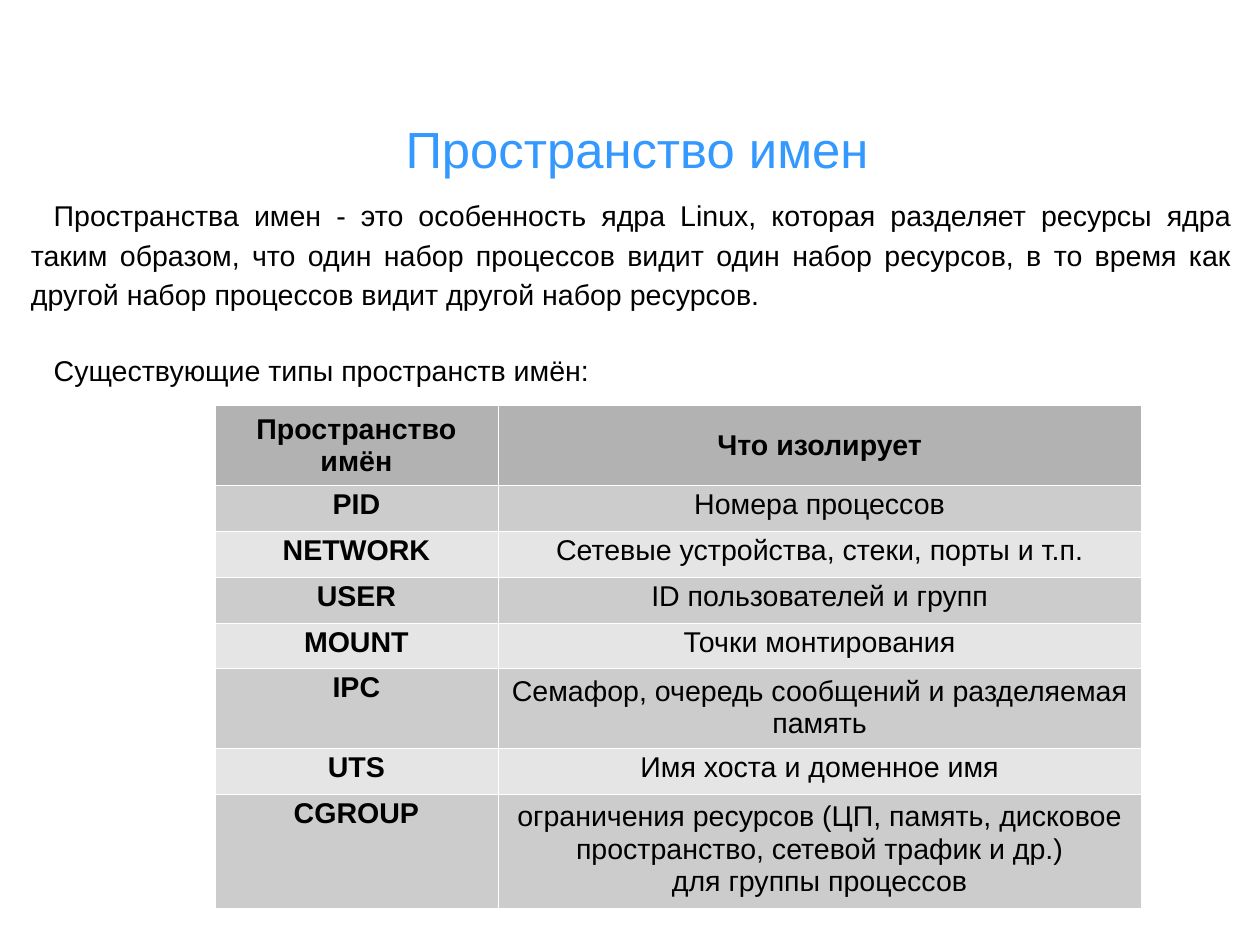
from lxml import etree
from pptx import Presentation
from pptx import util as u
from pptx.dml.color import RGBColor
from pptx.enum import text
from pptx.oxml.ns import qn

COLORS = {"title": "3399FF", "ink": "000000", "header": "B2B2B2",
          "dark": "CCCCCC", "light": "E5E5E5", "border": "FFFFFF"}


def write(para, content, size=18, bold=False, color="ink",
          align=text.PP_ALIGN.CENTER, spacing=None, before=0):
    para.alignment = align
    para.space_before = u.Pt(before)
    if spacing:
        para.line_spacing = spacing
    span = para.add_run()
    span.text = content
    span.font.name = "Arial"
    span.font.size = u.Pt(size)
    span.font.bold = bold
    span.font.color.rgb = RGBColor.from_string(COLORS[color])


def add_borders(cell):
    props = cell._tc.get_or_add_tcPr()
    for index, side in enumerate(("a:lnL", "a:lnR", "a:lnT", "a:lnB")):
        line = etree.Element(qn(side), w=str(u.Pt(0.25)))
        fill = etree.SubElement(line, qn("a:solidFill"))
        etree.SubElement(fill, qn("a:srgbClr"), val=COLORS["border"])
        props.insert(index, line)


deck = Presentation()
deck.slide_width = u.Inches(11.03)
deck.slide_height = u.Inches(8.27)
page = deck.slides.add_slide(deck.slide_layouts[5])

# Title
title = page.shapes.title
title.left, title.top = u.Inches(3.55), u.Inches(1.01)
title.width, title.height = u.Inches(5.42), u.Inches(0.56)

# Introduction
intro = page.shapes.add_textbox(u.Inches(0.27), u.Inches(1.67),
                                u.Inches(10.51), u.Inches(1.71))

for box in (title, intro):
    frame = box.text_frame
    frame.word_wrap = True
    frame.auto_size = text.MSO_AUTO_SIZE.NONE
    frame.vertical_anchor = text.MSO_ANCHOR.TOP
    frame.margin_left = frame.margin_right = frame.margin_bottom = 0
    frame.margin_top = u.Inches(0.02)

write(title.text_frame.paragraphs[0], "Пространство имен", size=32,
      color="title", align=text.PP_ALIGN.LEFT)

definition = intro.text_frame.paragraphs[0]
write(definition,
      "Пространства имен - это особенность ядра Linux, которая разделяет "
      "ресурсы ядра таким образом, что один набор процессов видит один набор "
      "ресурсов, в то время как другой набор процессов видит другой набор "
      "ресурсов.", align=text.PP_ALIGN.JUSTIFY, spacing=1.15)
lead = intro.text_frame.add_paragraph()
write(lead, "Существующие типы пространств имён:",
      align=text.PP_ALIGN.JUSTIFY, before=26)
for para in (definition, lead):
    para._p.get_or_add_pPr().set("indent", str(u.Inches(0.2)))

# Table of namespaces: name, what it isolates, row height
rows = [
    ("Пространство имён", ["Что изолирует"], 0.7),
    ("PID", ["Номера процессов"], 0.4),
    ("NETWORK", ["Сетевые устройства, стеки, порты и т.п."], 0.4),
    ("USER", ["ID пользователей и групп"], 0.4),
    ("MOUNT", ["Точки монтирования"], 0.4),
    ("IPC", ["Семафор, очередь сообщений и разделяемая память"], 0.7),
    ("UTS", ["Имя хоста и доменное имя"], 0.4),
    ("CGROUP", ["ограничения ресурсов (ЦП, память, дисковое пространство, "
                "сетевой трафик и др.)", "для группы процессов"], 1),
]
table = page.shapes.add_table(len(rows), 2, u.Inches(1.88), u.Inches(3.55),
                              u.Inches(8.11), u.Inches(4.4)).table
for column, width in zip(table.columns, (2.48, 5.63)):
    column.width = u.Inches(width)

for r, (name, isolates, height) in enumerate(rows):
    table.rows[r].height = u.Inches(height)
    header = r == 0
    shade = "header" if header else "dark" if r % 2 else "light"
    for c, lines in enumerate(([name], isolates)):
        cell = table.cell(r, c)
        cell.fill.solid()
        cell.fill.fore_color.rgb = RGBColor.from_string(COLORS[shade])
        add_borders(cell)
        tall = c == 1 and height > 0.4
        side = 0.3 if header else 0
        cell.margin_left = cell.margin_right = u.Inches(side)
        cell.margin_top = u.Inches(0 if header else 0.06 if tall else 0.03)
        cell.margin_bottom = 0
        cell.vertical_anchor = (text.MSO_ANCHOR.MIDDLE if header
                                else text.MSO_ANCHOR.TOP)
        for i, line in enumerate(lines):
            frame = cell.text_frame
            para = frame.add_paragraph() if i else frame.paragraphs[0]
            write(para, line, bold=header or c == 0,
                  spacing=u.Pt(20.2) if header or tall else None)

deck.save("out.pptx")
